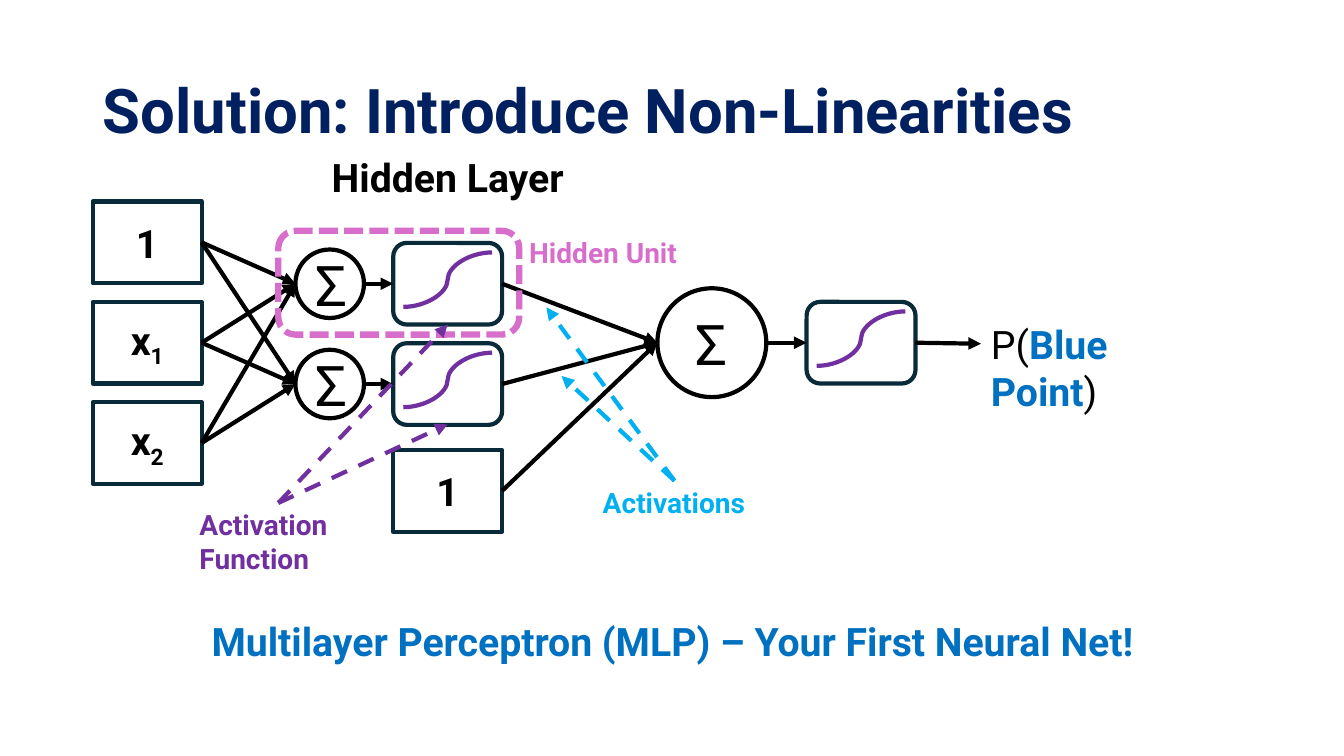
from dataclasses import dataclass

from lxml import etree
from pptx import Presentation
from pptx.dml.color import RGBColor
from pptx.enum.dml import MSO_LINE_DASH_STYLE as Dash
from pptx.enum.shapes import MSO_AUTO_SHAPE_TYPE as Preset, MSO_CONNECTOR as Connector
from pptx.enum.text import MSO_ANCHOR as Anchor, PP_ALIGN as Align
from pptx.oxml.ns import qn
from pptx.util import Inches, Pt


@dataclass(frozen=True)
class Theme:
    font: str = "Roboto"
    black: str = "000000"
    navy: str = "002060"
    blue: str = "0070C0"
    outline: str = "092A39"
    purple: str = "7030A0"
    pink: str = "D86ECC"
    cyan: str = "00B0F0"
    title_size: int = 44
    sum_size: int = 40
    body_size: int = 28
    label_size: int = 20
    stroke: float = 3
    dotted_stroke: float = 4.5


THEME = Theme()

TITLE = "Solution: Introduce Non-Linearities"
TAKEAWAY = "Multilayer Perceptron (MLP) – Your First Neural Net!"
INPUTS = [("1", ""), ("x", "1"), ("x", "2")]
OUTPUT = [("P(", THEME.black, False), ("Blue Point", THEME.blue, True), (")", THEME.black, False)]
LABELS = [
    (["Hidden Layer"], (3, 1.47, 2.88, 0.57), THEME.body_size, THEME.black, Align.CENTER),
    (["Hidden Unit"], (5.15, 2.29, 2.88, 0.44), THEME.label_size, THEME.pink, Align.LEFT),
    (["Activations"], (5.88, 4.77, 1.63, 0.44), THEME.label_size, THEME.cyan, Align.LEFT),
    (["Activation", "Function"], (1.88, 4.99, 1.75, 0.77), THEME.label_size, THEME.purple, Align.LEFT),
]
POINTERS = [
    ((2.76, 4.99), [(4.44, 4.21), (4.44, 3.22)], THEME.purple),
    ((6.69, 4.77), [(5.57, 3.73), (5.42, 3.05)], THEME.cyan),
]

BOX = (1.08, 0.81)
SMALL_CIRCLE = (0.68, 0.68)
LARGE_CIRCLE = (1.08, 1.08)
ROW_STEP = 0.995
MIDDLE = 3.4
INPUT_LEFT, SUM_LEFT, HIDDEN_LEFT, OUTPUT_SUM_LEFT, OUTPUT_LEFT = 0.92, 2.93, 3.9, 6.52, 8
HIDDEN_ROWS = [2.815, 2.815 + ROW_STEP]
BIAS_ROW = 4.87
OUTPUT_TEXT_LEFT = 9.73

presentation = Presentation()
presentation.slide_width, presentation.slide_height = Inches(13.33), Inches(7.5)
slide = presentation.slides.add_slide(presentation.slide_layouts[5])


def inches(values):
    return [Inches(value) for value in values]


def style_run(run, size, color, bold=True):
    run.font.name = THEME.font
    run.font.size = Pt(size)
    run.font.bold = bold
    run.font.color.rgb = RGBColor.from_string(color)


def style_line(line, color, width=THEME.stroke, dash=None):
    line.color.rgb = RGBColor.from_string(color)
    line.width = Pt(width)
    if dash:
        line.dash_style = dash


def add_outline(preset, bounds, color, width=THEME.stroke, dash=None):
    shape = slide.shapes.add_shape(preset, *inches(bounds))
    shape.shadow.inherit = False
    shape.fill.background()
    style_line(shape.line, color, width, dash)
    return shape


def add_node(preset, left, middle, size, color, text="", subscript="", text_size=THEME.body_size, bold=True):
    width, height = size
    shape = add_outline(preset, (left, middle - height / 2, width, height), color)
    if text:
        shape.text_frame.vertical_anchor = Anchor.MIDDLE
        paragraph = shape.text_frame.paragraphs[0]
        paragraph.text = text
        paragraph.alignment = Align.CENTER
        if subscript:
            paragraph.add_run().text = subscript
        for run in paragraph.runs:
            style_run(run, text_size, THEME.black, bold)
        if subscript:
            paragraph.runs[1].font._element.set("baseline", "-25000")
    return (left, middle), (left + width, middle)


def add_box(left, middle, text, subscript=""):
    return add_node(Preset.RECTANGLE, left, middle, BOX, THEME.outline, text, subscript)


def add_sum(left, middle, size):
    return add_node(Preset.OVAL, left, middle, size, THEME.black, "Σ", text_size=THEME.sum_size, bold=False)


def add_connector(start, end, color=THEME.black, kind=Connector.STRAIGHT, dash=None, arrow=True):
    connector = slide.shapes.add_connector(kind, *inches(start + end))
    style_line(connector.line, color, dash=dash)
    properties = connector._element.spPr
    if arrow:
        etree.SubElement(properties.find(qn("a:ln")), qn("a:tailEnd"), type="triangle")
    etree.SubElement(properties, qn("a:effectLst"))


def add_activation(left, middle):
    ends = add_node(Preset.ROUNDED_RECTANGLE, left, middle, BOX, THEME.outline)
    add_connector((left + 0.1, middle + 0.23), (left + 0.98, middle - 0.31),
                  THEME.purple, Connector.CURVE, arrow=False)
    return ends


def add_text(lines, bounds, size, color, alignment):
    frame = slide.shapes.add_textbox(*inches(bounds)).text_frame
    frame.word_wrap = True
    frame.text = "\n".join(lines)
    for paragraph in frame.paragraphs:
        paragraph.alignment = alignment
        for run in paragraph.runs:
            style_run(run, size, color)
    return frame


title = slide.shapes.title
title.left, title.top, title.width, title.height = inches((0.92, 0.4, 11.5, 1.45))
title.text_frame.text = TITLE
title.text_frame.vertical_anchor = Anchor.MIDDLE
heading = title.text_frame.paragraphs[0]
heading.alignment = Align.LEFT
heading.line_spacing = 0.9
style_run(heading.runs[0], THEME.title_size, THEME.navy)

takeaway = add_text([TAKEAWAY], (0.92, 6.13, 11.5, 0.63), THEME.body_size, THEME.blue, Align.CENTER)
takeaway.paragraphs[0].line_spacing = 0.9

input_ends = [
    add_box(INPUT_LEFT, MIDDLE + (row - 1) * ROW_STEP, text, subscript)[1]
    for row, (text, subscript) in enumerate(INPUTS)
]
output_start, output_end = add_sum(OUTPUT_SUM_LEFT, MIDDLE, LARGE_CIRCLE)

for row in HIDDEN_ROWS:
    sum_start, sum_end = add_sum(SUM_LEFT, row, SMALL_CIRCLE)
    activation_start, activation_end = add_activation(HIDDEN_LEFT, row)
    for input_end in input_ends:
        add_connector(input_end, sum_start)
    add_connector(sum_end, activation_start)
    add_connector(activation_end, output_start)

bias_end = add_box(HIDDEN_LEFT, BIAS_ROW, "1")[1]
add_connector(bias_end, output_start)
result_start, result_end = add_activation(OUTPUT_LEFT, MIDDLE)
add_connector(output_end, result_start)
add_connector(result_end, (OUTPUT_TEXT_LEFT, MIDDLE + 0.01))

output_frame = add_text([""], (OUTPUT_TEXT_LEFT, 3.13, 1.6, 1.04), THEME.body_size, THEME.black, Align.LEFT)
for text, color, bold in OUTPUT:
    run = output_frame.paragraphs[0].add_run()
    run.text = text
    style_run(run, THEME.body_size, color, bold)

add_outline(Preset.ROUNDED_RECTANGLE, (2.76, 2.29, 2.39, 1.03), THEME.pink,
            THEME.dotted_stroke, Dash.SQUARE_DOT)
for label in LABELS:
    add_text(*label)
for start, targets, color in POINTERS:
    for target in targets:
        add_connector(start, target, color, dash=Dash.DASH)

presentation.save("out.pptx")
